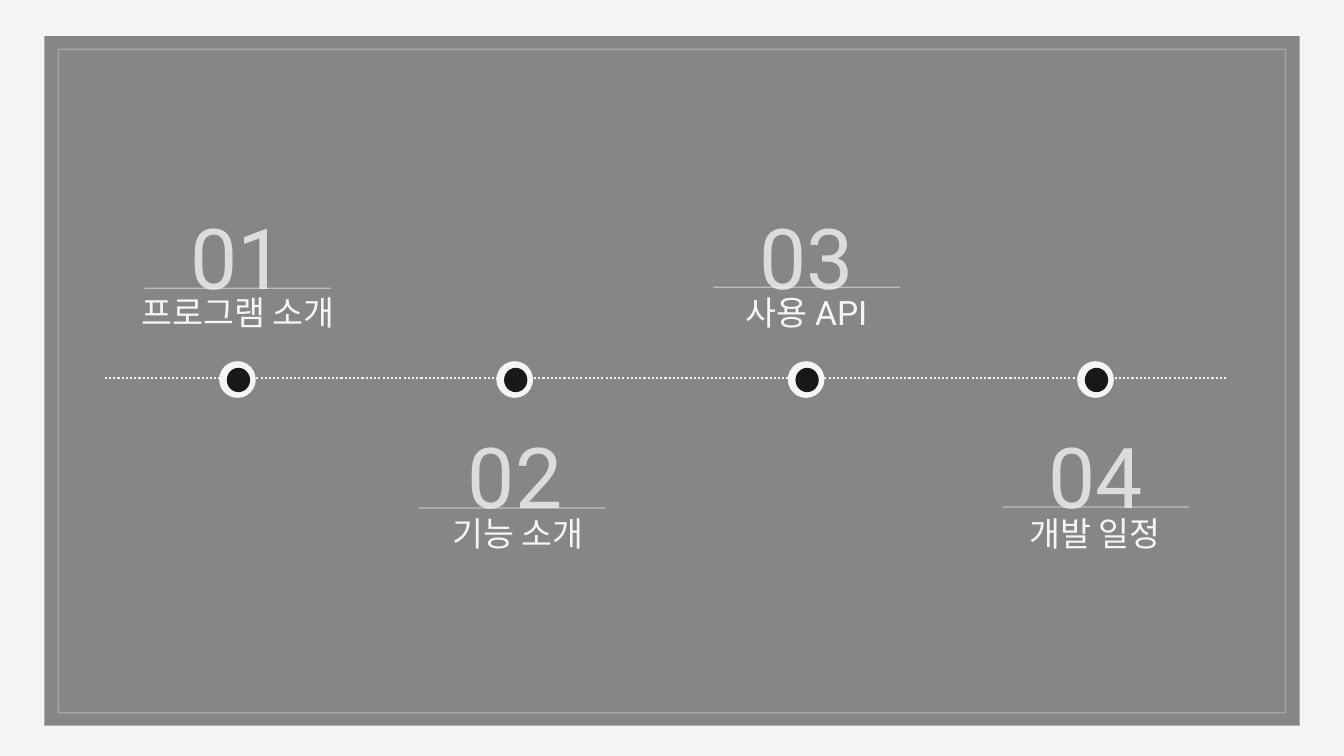
from dataclasses import dataclass

from lxml.etree import SubElement
from pptx import Presentation
from pptx.dml.color import RGBColor
from pptx.enum.dml import MSO_LINE
from pptx.enum.shapes import MSO_CONNECTOR, MSO_SHAPE
from pptx.enum.text import MSO_AUTO_SIZE, PP_ALIGN
from pptx.oxml.ns import qn
from pptx.util import Inches, Pt

LIGHT, DARK, NUMBER_GREY = "F5F5F5", "181818", "DCDCDC"
FONT = "Roboto"
RULE_WIDTH = 1.85
TIMELINE_Y = 3.75


@dataclass(frozen=True)
class Stop:
    number: str
    label: str
    center: float
    label_center: float
    rule_center: float
    number_top: float
    label_top: float
    rule_y: float


STOPS = [
    Stop("01", "프로그램 소개", 2.36, 2.36, 2.36, 2.04, 2.9, 2.86),
    Stop("02", "기능 소개", 5.11, 5.14, 5.08, 4.21, 5.09, 5.04),
    Stop("03", "사용 API", 8.0, 8.0, 8.0, 2.04, 2.9, 2.85),
    Stop("04", "개발 일정", 10.87, 10.86, 10.87, 4.21, 5.09, 5.03),
]


def paint(fill, color: str, opacity: int = 100) -> None:
    """Apply a solid colour, with opacity in percent."""
    fill.solid()
    fill.fore_color.rgb = RGBColor.from_string(color)
    if opacity < 100:
        # The fill's own XML node carries the transparency
        node = fill.fore_color._xFill.find(qn("a:srgbClr"))
        SubElement(node, qn("a:alpha"), val=str(opacity * 1000))


def add_preset(slide, kind, left: float, top: float, width: float, height: float,
               *, fill: str | None = None, opacity: int = 100,
               line: str | None = None, line_width: float = 1,
               line_opacity: int = 100) -> None:
    shape = slide.shapes.add_shape(
        kind, Inches(left), Inches(top), Inches(width), Inches(height))
    shape.shadow.inherit = False
    if fill:
        paint(shape.fill, fill, opacity)
    else:
        shape.fill.background()
    if line:
        shape.line.width = Pt(line_width)
        paint(shape.line.fill, line, line_opacity)
    else:
        shape.line.fill.background()


def add_rule(slide, left: float, right: float, y: float, *,
             width: float = 1, opacity: int = 100, dash=None) -> None:
    rule = slide.shapes.add_connector(
        MSO_CONNECTOR.STRAIGHT, Inches(left), Inches(y), Inches(right), Inches(y))
    rule.line.width = Pt(width)
    paint(rule.line.fill, LIGHT, opacity)
    if dash:
        rule.line.dash_style = dash
    SubElement(rule._element.spPr, qn("a:effectLst"))


def add_text(slide, text: str, *, center: float, top: float, width: float,
             height: float, size: int, color: str) -> None:
    box = slide.shapes.add_textbox(
        Inches(center - width / 2), Inches(top), Inches(width), Inches(height))
    frame = box.text_frame
    frame.word_wrap = True
    frame.auto_size = MSO_AUTO_SIZE.SHAPE_TO_FIT_TEXT
    frame.margin_left = frame.margin_right = 0
    frame.margin_top = frame.margin_bottom = 0
    paragraph = frame.paragraphs[0]
    paragraph.alignment = PP_ALIGN.CENTER
    run = paragraph.add_run()
    run.text = text
    run.font.name = FONT
    run.font.size = Pt(size)
    run.font.color.rgb = RGBColor.from_string(color)


def add_marker(slide, center: float) -> None:
    dot = MSO_SHAPE.FLOWCHART_CONNECTOR
    add_preset(slide, dot, center - 0.18, 3.59, 0.35, 0.35, fill=LIGHT, line=LIGHT)
    add_preset(slide, dot, center - 0.1, 3.66, 0.21, 0.22,
               fill=DARK, line=DARK, line_width=1.5)


def main() -> None:
    deck = Presentation()
    deck.slide_width, deck.slide_height = Inches(13.33), Inches(7.5)
    slide = deck.slides.add_slide(deck.slide_layouts[6])
    paint(slide.background.fill, LIGHT)

    # Panel and timeline
    add_preset(slide, MSO_SHAPE.RECTANGLE, 0.44, 0.36, 12.45, 6.84,
               fill=DARK, opacity=50)
    add_rule(slide, 1.04, 12.17, TIMELINE_Y, width=1.5, dash=MSO_LINE.ROUND_DOT)
    for stop in STOPS:
        add_marker(slide, stop.center)

    # Numbers and labels
    for stop in STOPS:
        add_text(slide, stop.number, center=stop.center, top=stop.number_top,
                 width=1.46, height=1.01, size=60, color=NUMBER_GREY)
        add_text(slide, stop.label, center=stop.label_center, top=stop.label_top,
                 width=2.63, height=0.4, size=24, color=LIGHT)

    # Inner frame and the rules under the numbers
    add_preset(slide, MSO_SHAPE.RECTANGLE, 0.58, 0.49, 12.17, 6.58,
               line=LIGHT, line_opacity=30)
    for stop in STOPS:
        left = stop.rule_center - RULE_WIDTH / 2
        add_rule(slide, left, left + RULE_WIDTH, stop.rule_y, opacity=50)

    deck.save("out.pptx")


if __name__ == "__main__":
    main()
